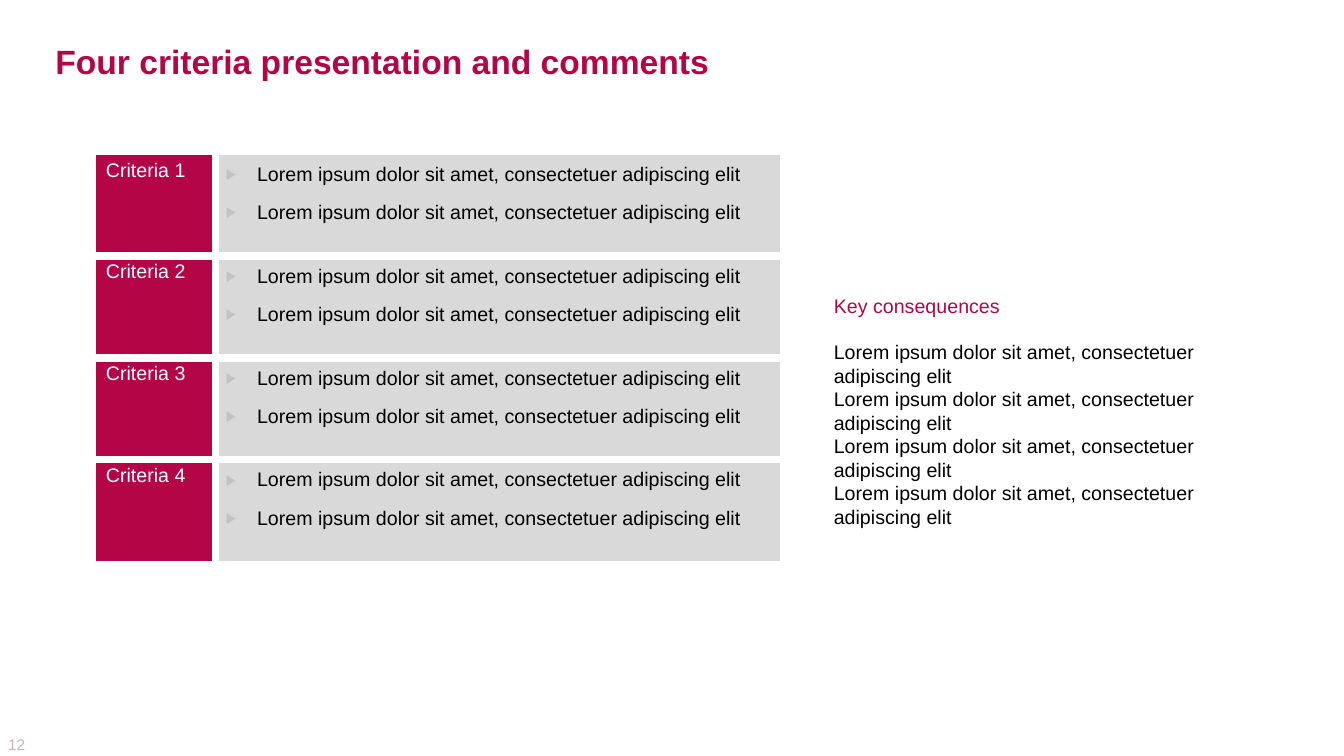
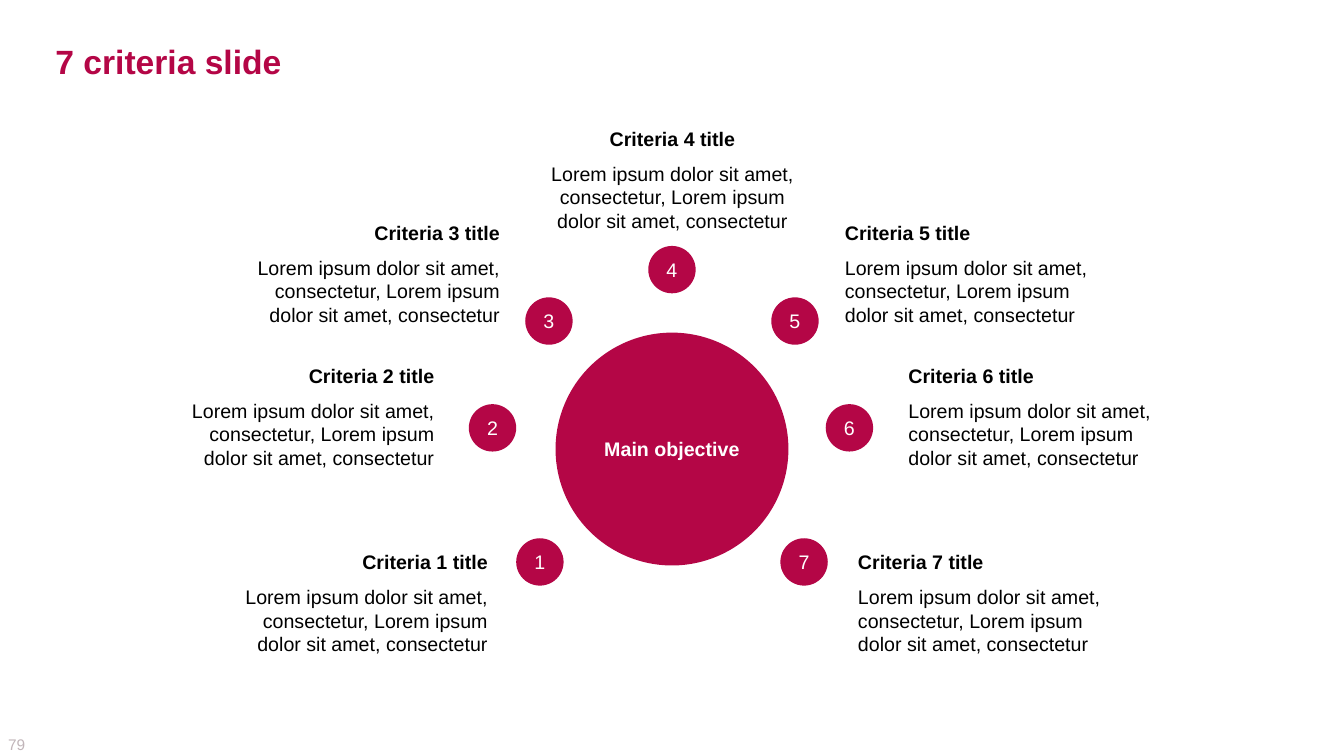
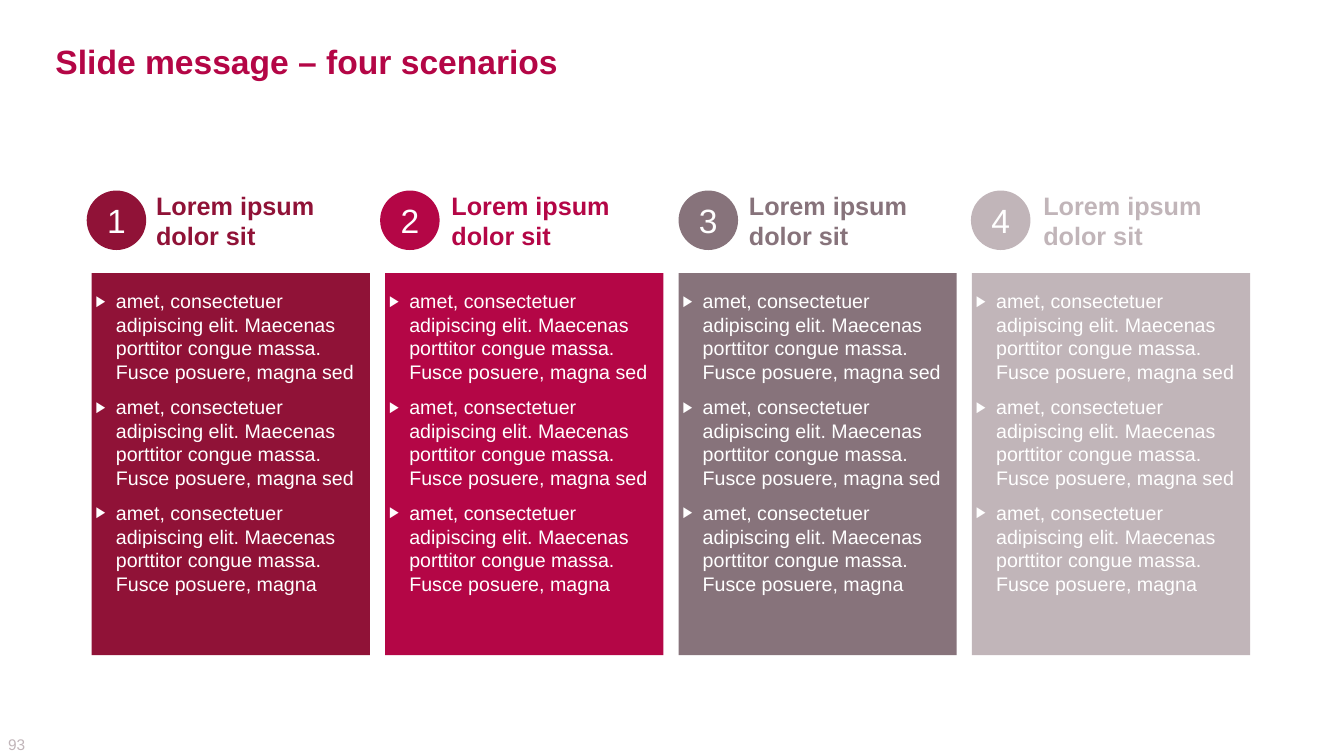
import pptx
import pptx.chart.data
import pptx.dml.color
import pptx.enum.shapes
import pptx.enum.text
import pptx.oxml
import pptx.oxml.ns
import pptx.util
from lxml import etree

PX = 9144  # EMU in one px, 100 px to the inch
FONT = "Arial"
COLORS = {
    "wine": "901237", "crimson": "B40646", "mauve": "87737B", "rose": "C1B5B9",
    "panel": "D9D9D9", "bullet": "C2C2C2", "black": "000000", "white": "FFFFFF",
}
ALIGN = pptx.enum.text.PP_ALIGN
ANCHOR = pptx.enum.text.MSO_ANCHOR
SHAPE = pptx.enum.shapes.MSO_SHAPE


def rgb(name):
    return pptx.dml.color.RGBColor.from_string(COLORS[name])


def write(frame, lines, size=14, colors=("black",), bold=(False,), align=ALIGN.LEFT,
          anchor=ANCHOR.TOP, inset=None, gaps=(0,), spacing=None, bullet=None, indent=0):
    """Fill a text frame; the last item of colors, bold and gaps repeats for later lines.

    gaps are the points before the second and later lines; inset is left, top,
    right, bottom in px, or None to keep a table cell's own margins.
    """
    if inset is not None:
        frame.word_wrap = True
        frame.auto_size = pptx.enum.text.MSO_AUTO_SIZE.NONE
        frame.vertical_anchor = anchor
        (frame.margin_left, frame.margin_top,
         frame.margin_right, frame.margin_bottom) = [side * PX for side in inset]
    for i, line in enumerate(lines):
        paragraph = frame.add_paragraph() if i else frame.paragraphs[0]
        paragraph.alignment = align
        if spacing:
            paragraph.line_spacing = spacing
        if i:
            paragraph.space_before = pptx.util.Pt(gaps[min(i - 1, len(gaps) - 1)])
        if bullet:
            properties = paragraph._p.get_or_add_pPr()
            properties.set("marL", str(indent * PX))
            properties.set("indent", str(-indent * PX))
            tint = etree.SubElement(properties, pptx.oxml.ns.qn("a:buClr"))
            etree.SubElement(tint, pptx.oxml.ns.qn("a:srgbClr"), val=COLORS[bullet])
            etree.SubElement(properties, pptx.oxml.ns.qn("a:buSzPct"), val="77000")
            etree.SubElement(properties, pptx.oxml.ns.qn("a:buFont"), typeface=FONT)
            etree.SubElement(properties, pptx.oxml.ns.qn("a:buChar"), char="▶")
        run = paragraph.add_run()
        run.text = line
        run.font.name = FONT
        run.font.size = pptx.util.Pt(size)
        run.font.bold = bold[min(i, len(bold) - 1)]
        run.font.color.rgb = rgb(colors[min(i, len(colors) - 1)])


def add_block(slide, box, lines, kind=None, fill=None, **style):
    """Add a text box, or a filled shape when a kind is given."""
    place = [length * PX for length in box]
    if kind is None:
        block = slide.shapes.add_textbox(*place)
    else:
        block = slide.shapes.add_shape(kind, *place)
        block.shadow.inherit = False
        block.fill.solid()
        block.fill.fore_color.rgb = rgb(fill)
        block.line.fill.background()
    write(block.text_frame, lines, **style)


deck = pptx.Presentation()
deck.slide_width, deck.slide_height = 1333 * PX, 750 * PX
layout = deck.slide_layouts[5]
layout_title = layout.placeholders[0]
layout_title.left, layout_title.top = 47 * PX, 35 * PX
layout_title.width, layout_title.height = 1240 * PX, 51 * PX

slides = []
for heading, number in [("Four criteria presentation and comments", "12"),
                        ("7 criteria slide", "79"),
                        ("Slide message – four scenarios", "93")]:
    slide = deck.slides.add_slide(layout)
    write(slide.shapes.title.text_frame, [heading], size=24, colors=["crimson"],
          bold=[True], anchor=ANCHOR.MIDDLE, inset=(8, 5, 8, 5))
    add_block(slide, (8, 729, 39, 19), [number], size=11, colors=["rose"],
              anchor=ANCHOR.MIDDLE, inset=(0, 0, 0, 0))
    slides.append(slide)
comments, objective, scenarios = slides

# Four criteria with comments
LOREM = "Lorem ipsum dolor sit amet, consectetuer adipiscing elit"
ROWS = 4
criteria = comments.shapes.add_table(ROWS, 2, 95 * PX, 153 * PX, 679 * PX, 404 * PX).table
criteria.first_row = criteria.horz_banding = False
criteria.columns[0].width, criteria.columns[1].width = 119 * PX, 560 * PX
for r in range(ROWS):
    criteria.rows[r].height = 101 * PX
    for c in range(2):
        cell = criteria.cell(r, c)
        outer = {"lnL": c == 0, "lnR": c == 1, "lnT": r == 0, "lnB": r == ROWS - 1}
        for side, is_outer in outer.items():
            border = etree.SubElement(cell._tc.get_or_add_tcPr(),
                                      pptx.oxml.ns.qn(f"a:{side}"),
                                      w=str(pptx.util.Pt(1 if is_outer else 6)))
            ink = etree.SubElement(border, pptx.oxml.ns.qn("a:solidFill"))
            etree.SubElement(ink, pptx.oxml.ns.qn("a:srgbClr"), val=COLORS["white"])
        cell.fill.solid()
        cell.fill.fore_color.rgb = rgb("panel" if c else "crimson")
    write(criteria.cell(r, 0).text_frame, [f"Criteria {r + 1}"], colors=["white"])
    write(criteria.cell(r, 1).text_frame, [LOREM] * 2, gaps=[8.4], spacing=1.2,
          bullet="bullet", indent=31)

add_block(comments, (814, 219, 439, 378), ["Key consequences"] + [LOREM] * 4,
          colors=["crimson", "black"], gaps=[16, 0], anchor=ANCHOR.MIDDLE,
          inset=(13, 13, 13, 13))

# Seven criteria around one objective
add_block(objective, (551, 330, 231, 231), ["Main objective"], kind=SHAPE.OVAL,
          fill="crimson", colors=["white"], bold=[True], align=ALIGN.CENTER,
          anchor=ANCHOR.MIDDLE, inset=(8, 8, 8, 8))
DETAIL = "Lorem ipsum dolor sit amet, consectetur, Lorem ipsum dolor sit amet, consectetur"
around = [  # badge left and top, text left and top, text alignment
    (512, 534, 206, 541, ALIGN.RIGHT),
    (465, 401, 153, 356, ALIGN.RIGHT),
    (521, 295, 218, 214, ALIGN.RIGHT),
    (643, 244, 524, 121, ALIGN.CENTER),
    (765, 295, 830, 214, ALIGN.LEFT),
    (819, 401, 893, 356, ALIGN.LEFT),
    (774, 534, 843, 541, ALIGN.LEFT),
]
for n, (badge_x, badge_y, text_x, text_y, side) in enumerate(around, 1):
    add_block(objective, (text_x, text_y, 286, 118), [f"Criteria {n} title", DETAIL],
              bold=[True, False], align=side, gaps=[8], inset=(8, 5, 8, 8))
    add_block(objective, (badge_x, badge_y, 47, 47), [str(n)], kind=SHAPE.OVAL,
              fill="crimson", colors=["white"], align=ALIGN.CENTER,
              anchor=ANCHOR.MIDDLE, inset=(0, 0, 0, 0))

# Four scenarios
SHORT = ("amet, consectetuer adipiscing elit. Maecenas porttitor congue massa. "
         "Fusce posuere, magna")
points = [SHORT + " sed", SHORT + " sed", SHORT]
PANEL_WIDTH, PANEL_GAP = 276, 15
columns = [("wine", 86, 145), ("crimson", 377, 438), ("mauve", 673, 733), ("rose", 963, 1025)]
for i, (tone, badge_x, heading_x) in enumerate(columns):
    add_block(scenarios, (91 + i * (PANEL_WIDTH + PANEL_GAP), 271, PANEL_WIDTH, 379), points,
              kind=SHAPE.RECTANGLE, fill=tone, colors=["white"], gaps=[8.4],
              bullet="white", indent=20, inset=(4, 16, 12, 16))
    add_block(scenarios, (heading_x, 193, 214, 51), ["Lorem ipsum dolor sit"], size=18,
              colors=[tone], bold=[True], anchor=ANCHOR.MIDDLE, inset=(10, 5, 10, 5))
    add_block(scenarios, (badge_x, 189, 59, 59), [str(i + 1)], kind=SHAPE.OVAL, fill=tone,
              size=24, colors=["white"], align=ALIGN.CENTER, anchor=ANCHOR.MIDDLE,
              inset=(4, 4, 4, 4))

deck.save("out.pptx")
